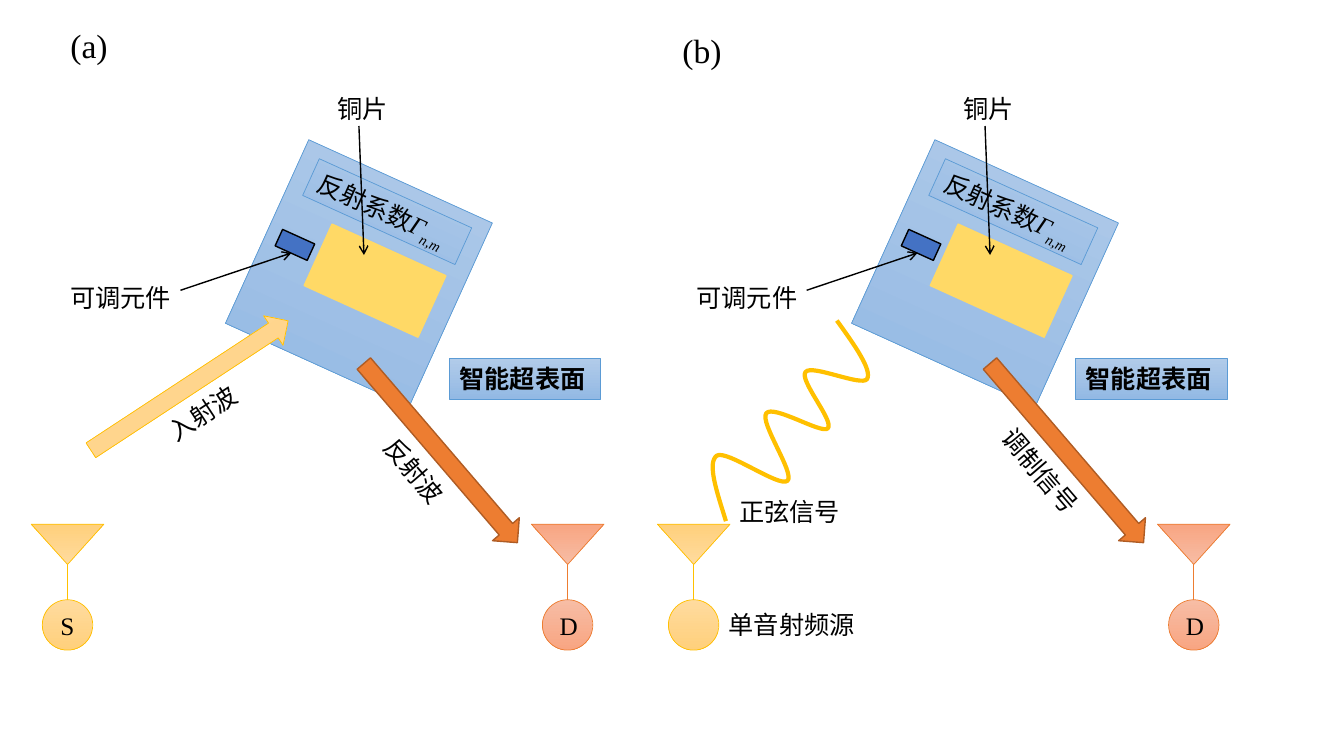
from lxml.etree import SubElement
from pptx import Presentation
from pptx.dml.color import RGBColor
from pptx.enum.shapes import MSO_CONNECTOR, MSO_SHAPE as Preset
from pptx.enum.text import MSO_ANCHOR as Anchor, PP_ALIGN as Align
from pptx.oxml.ns import qn
from pptx.util import Inches, Pt

COLORS = {
    "black": "000000", "element": "4472C4", "copper": "FFD966",
    "surface": ("B1CBE9", "93B9E4"), "surface_edge": "5B9BD5",
    "source": ("FFDB9E", "FFD07C"), "source_edge": "FFC000",
    "receiver": ("F7BDA5", "F8A582"), "receiver_edge": "ED7D31",
    "reflected": "ED7D31", "reflected_edge": "AF5C24",
}
LATIN, CHINESE = "Times New Roman", "Noto Sans CJK SC"
PANEL_STEP = 6.21
TILT = 24.4
INCIDENT_ANGLE, REFLECTED_ANGLE = -33.3, 49.4

# Sine signal: start point, then control, control and end point of each curve
WAVE_START = (7.2, 5.17)
WAVE_CURVES = [
    ((7.11, 4.88), (7.01, 4.59), (7.11, 4.52)),
    ((7.21, 4.46), (7.73, 4.84), (7.81, 4.77)),
    ((7.89, 4.7), (7.53, 4.19), (7.6, 4.1)),
    ((7.67, 4.01), (8.15, 4.31), (8.21, 4.25)),
    ((8.28, 4.18), (7.92, 3.77), (7.99, 3.69)),
    ((8.05, 3.61), (8.55, 3.84), (8.6, 3.76)),
    ((8.65, 3.67), (8.48, 3.43), (8.3, 3.18)),
]


def rgb(name):
    return RGBColor.from_string(COLORS[name])


def style_line(line, color, width):
    line.color.rgb = rgb(color)
    line.width = Pt(width)


def style_run(run, size=18, bold=False):
    run.font.size = Pt(size)
    run.font.name = LATIN
    run.font.bold = bold
    run.font.color.rgb = rgb("black")
    SubElement(run.font._element, qn("a:ea"), typeface=CHINESE)


def write(shape, text, size=18, bold=False, centered=False):
    frame = shape.text_frame
    frame.word_wrap = True
    frame.vertical_anchor = Anchor.MIDDLE if centered else Anchor.TOP
    frame.text = text
    paragraph = frame.paragraphs[0]
    paragraph.alignment = Align.CENTER if centered else Align.LEFT
    style_run(paragraph.runs[0], size, bold)


def add_block(shapes, preset, box, fill, edge, width=0.5, angle=0):
    block = shapes.add_shape(preset, *map(Inches, box))
    block.shadow.inherit = False
    block.rotation = angle
    if isinstance(COLORS[fill], tuple):
        block.fill.gradient()
        block.fill.gradient_angle = 270
        for stop, color in zip(block.fill.gradient_stops, COLORS[fill]):
            stop.color.rgb = RGBColor.from_string(color)
    else:
        block.fill.solid()
        block.fill.fore_color.rgb = rgb(fill)
    style_line(block.line, edge, width)
    return block


def add_label(shapes, text, box, size=18):
    write(shapes.add_textbox(*map(Inches, box)), text, size)


def add_signal_label(shapes, text, center, angle=0):
    width, height = 1.3, 0.4
    label = shapes.add_textbox(Inches(center[0] - width / 2),
                               Inches(center[1] - height / 2),
                               Inches(width), Inches(height))
    label.rotation = angle
    write(label, text, centered=True)


def add_line(shapes, start, end, color, width, arrow=False):
    line = shapes.add_connector(MSO_CONNECTOR.STRAIGHT,
                                *map(Inches, (*start, *end)))
    style_line(line.line, color, width)
    properties = line._element.spPr
    if arrow:
        SubElement(properties.find(qn("a:ln")), qn("a:tailEnd"), type="arrow")
    SubElement(properties, qn("a:effectLst"))


def add_antenna(slide, left, role, letter=""):
    parts = slide.shapes.add_group_shape().shapes
    edge = role + "_edge"
    middle = left + 0.36
    add_block(parts, Preset.ISOSCELES_TRIANGLE, (left, 5.2, 0.72, 0.4),
              role, edge, angle=180)
    add_line(parts, (middle, 5.6), (middle, 5.95), edge, 0.5)
    terminal = add_block(parts, Preset.OVAL, (middle - 0.25, 5.95, 0.5, 0.5),
                         role, edge)
    if letter:
        write(terminal, letter, centered=True)


def add_metasurface(slide, x):
    parts = slide.shapes.add_group_shape().shapes
    add_block(parts, Preset.RECTANGLE, (x + 2.56, 1.71, 2, 2),
              "surface", "surface_edge", angle=TILT)
    add_block(parts, Preset.RECTANGLE, (x + 2.75, 2.34, 0.35, 0.18),
              "element", "black", 1, TILT)
    add_block(parts, Preset.RECTANGLE, (x + 3.1, 2.45, 1.24, 0.67),
              "copper", "copper", 1, TILT)
    coefficient = add_block(parts, Preset.RECTANGLE, (x + 3.01, 1.9, 1.66, 0.4),
                            "surface", "surface_edge", angle=TILT)
    write(coefficient, "反射系数")
    paragraph = coefficient.text_frame.paragraphs[0]
    for text in ("Г", "n,m"):
        symbol = paragraph.add_run()
        symbol.text = text
        style_run(symbol)
        symbol.font.italic = True
    symbol.font._element.set("baseline", "-25000")


def add_panel(slide, x, reflected_text):
    shapes = slide.shapes
    name = add_block(shapes, Preset.RECTANGLE, (x + 4.46, 3.56, 1.5, 0.4),
                     "surface", "surface_edge")
    write(name, "智能超表面", bold=True)
    add_label(shapes, "铜片", (x + 3.25, 0.88, 0.72, 0.4))
    add_label(shapes, "可调元件", (x + 0.6, 2.75, 1.24, 0.4))
    add_metasurface(slide, x)
    add_line(shapes, (x + 3.56, 1.25), (x + 3.61, 2.53), "black", 1, arrow=True)
    add_line(shapes, (x + 1.79, 2.88), (x + 2.89, 2.51), "black", 1, arrow=True)
    add_block(shapes, Preset.RIGHT_ARROW, (x + 3.2, 4.32, 2.34, 0.35),
              "reflected", "reflected_edge", 1, REFLECTED_ANGLE)
    add_signal_label(shapes, reflected_text, (x + 4.11, 4.67), REFLECTED_ANGLE)
    add_antenna(slide, x + 5.27, "receiver", "D")


def curve_points(start, curves, steps=16):
    for first, second, end in curves:
        for step in range(1, steps + 1):
            t = step / steps
            weights = ((1 - t) ** 3, 3 * t * (1 - t) ** 2,
                       3 * t ** 2 * (1 - t), t ** 3)
            yield tuple(Inches(sum(w * value for w, value in zip(weights, axis)))
                        for axis in zip(start, first, second, end))
        start = end


def add_sine_wave(shapes):
    builder = shapes.build_freeform(*map(Inches, WAVE_START))
    builder.add_line_segments(curve_points(WAVE_START, WAVE_CURVES), close=False)
    wave = builder.convert_to_shape()
    wave.shadow.inherit = False
    wave.fill.background()
    style_line(wave.line, "source_edge", 3)


def main():
    deck = Presentation()
    deck.slide_width, deck.slide_height = Inches(13.33), Inches(7.5)
    slide = deck.slides.add_slide(deck.slide_layouts[6])
    shapes = slide.shapes

    # Panel (a): incident and reflected waves
    add_panel(slide, 0, "反射波")
    add_label(shapes, "(a)", (0.6, 0.2, 0.72, 0.5), 24)
    add_block(shapes, Preset.RIGHT_ARROW, (0.71, 3.65, 2.34, 0.35),
              "source", "source_edge", angle=INCIDENT_ANGLE)
    add_signal_label(shapes, "入射波", (2.01, 4.1), INCIDENT_ANGLE)
    add_antenna(slide, 0.31, "source", "S")

    # Panel (b): sine signal and modulated signal
    add_panel(slide, PANEL_STEP, "调制信号")
    add_label(shapes, "(b)", (6.67, 0.25, 0.72, 0.5), 24)
    add_antenna(slide, PANEL_STEP + 0.31, "source")
    add_label(shapes, "单音射频源", (7.13, 6, 1.46, 0.4))
    add_sine_wave(shapes)
    add_signal_label(shapes, "正弦信号", (7.83, 5.07))

    deck.save("out.pptx")


main()
